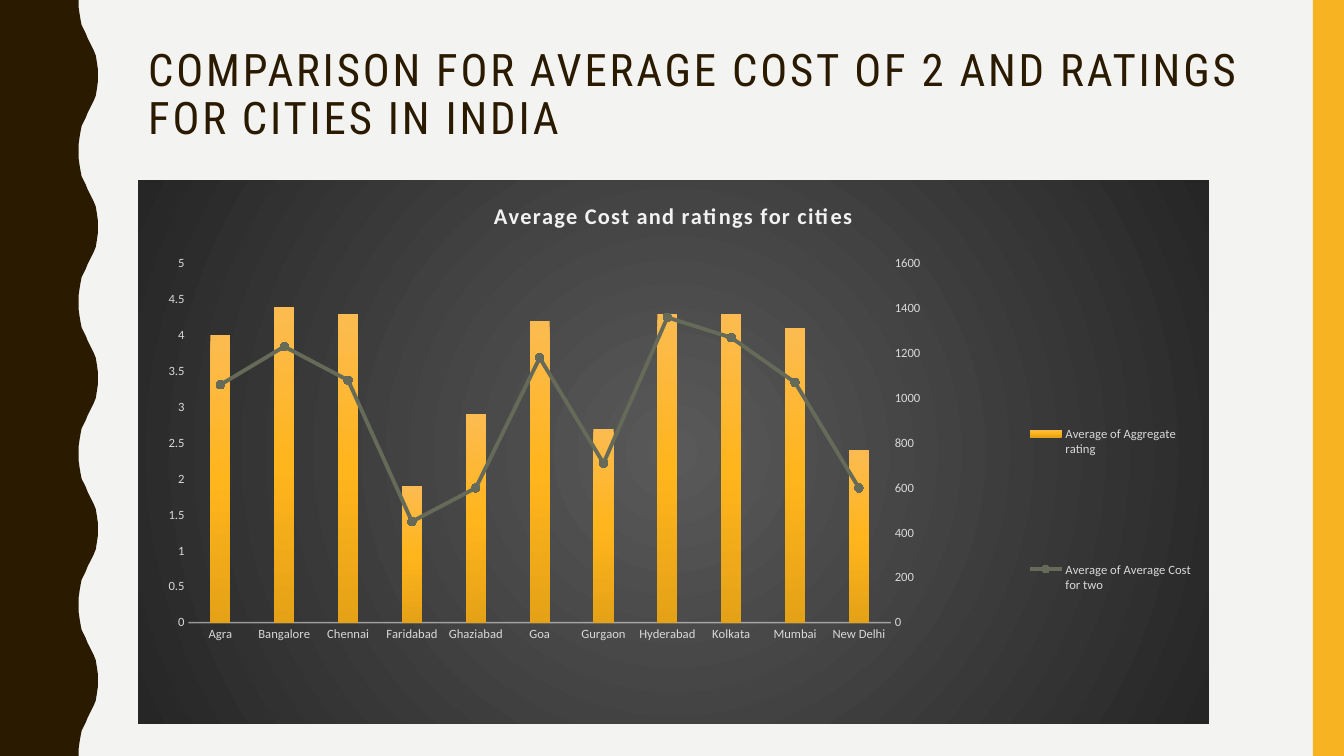
from copy import deepcopy
from dataclasses import dataclass

from lxml import etree
from pptx import Presentation
from pptx.chart.axis import CategoryAxis, ValueAxis
from pptx.chart.chart import Chart
from pptx.chart.data import CategoryChartData
from pptx.dml.color import RGBColor
from pptx.enum.chart import XL_CHART_TYPE, XL_LEGEND_POSITION, XL_MARKER_STYLE, XL_TICK_MARK
from pptx.enum.shapes import MSO_SHAPE
from pptx.enum.text import MSO_ANCHOR, MSO_AUTO_SIZE, PP_ALIGN
from pptx.oxml import parse_xml
from pptx.oxml.ns import nsdecls, qn
from pptx.slide import Slide
from pptx.util import Inches, Pt

COLUMNS = XL_CHART_TYPE.COLUMN_CLUSTERED
LEGEND_RIGHT = XL_LEGEND_POSITION.RIGHT
CIRCLE = XL_MARKER_STYLE.CIRCLE
NO_TICKS = XL_TICK_MARK.NONE
RECTANGLE = MSO_SHAPE.RECTANGLE
TOP = MSO_ANCHOR.TOP
NO_AUTOFIT = MSO_AUTO_SIZE.NONE
LEFT = PP_ALIGN.LEFT


@dataclass(frozen=True)
class Theme:
    background: str = "F3F3F2"
    dark: str = "2A1A00"
    accent: str = "F8B323"
    label: str = "D9D9D9"
    chart_title: str = "F2F2F2"
    line: str = "656A59"
    marker: str = "656B58"
    panel: tuple = ((0, "595959"), (100, "262626"))
    bar: tuple = ((0, "FCBB51"), (50, "FFB51C"), (100, "E5A217"))
    heading_font: str = "Roboto Condensed"
    chart_font: str = "Calibri"
    heading_size: int = 32
    chart_title_size: int = 16
    chart_size: int = 10
    label_size: int = 9


@dataclass(frozen=True)
class Measure:
    name: str
    values: tuple
    maximum: float
    step: float


@dataclass(frozen=True)
class Region:
    """A part of the chart, in fractions of its size."""
    x: float
    y: float
    w: float
    h: float


THEME = Theme()
SLIDE_WIDTH, SLIDE_HEIGHT = 13.33, 7.5
HEADING = "COMPARISON FOR AVERAGE COST OF 2 AND RATINGS FOR CITIES IN INDIA"
CHART_TITLE = "Average Cost and ratings for cities"
CITIES = ("Agra", "Bangalore", "Chennai", "Faridabad", "Ghaziabad", "Goa",
          "Gurgaon", "Hyderabad", "Kolkata", "Mumbai", "New Delhi")
RATING = Measure("Average of Aggregate rating",
                 (4, 4.4, 4.3, 1.9, 2.9, 4.2, 2.7, 4.3, 4.3, 4.1, 2.4), 5, 0.5)
COST = Measure("Average of Average Cost for two",
               (1060, 1230, 1080, 450, 600, 1180, 710, 1360, 1270, 1070, 600), 1600, 200)
PLOT_REGION = Region(0.047, 0.153, 0.656, 0.661)
LEGEND_REGION = Region(0.825, 0.258, 0.166, 0.696)
RIGHT_AXIS_IDS = ("50010", "50020")

WAVE_PERIOD = 1.5
HALF_WAVE = ((0.78, 0), (0.78, 0.07), (0.79, 0.14), (0.8, 0.2), (0.81, 0.25),
             (0.83, 0.29), (0.85, 0.33), (0.87, 0.38), (0.89, 0.42), (0.91, 0.46),
             (0.93, 0.5), (0.95, 0.55), (0.96, 0.61), (0.97, 0.68), (0.97, 0.75))


def color(value: str) -> RGBColor:
    return RGBColor.from_string(value)


def style_font(font, size: int, value: str, name: str = THEME.chart_font, bold: bool = False) -> None:
    font.size, font.name, font.bold = Pt(size), name, bold
    font.color.rgb = color(value)


def paint(shape, value: str) -> None:
    shape.shadow.inherit = False
    shape.fill.solid()
    shape.fill.fore_color.rgb = color(value)
    shape.line.fill.background()


def gradient(stops: tuple, direction: str) -> etree._Element:
    marks = "".join(f'<a:gs pos="{place * 1000}"><a:srgbClr val="{value}"/></a:gs>'
                    for place, value in stops)
    return parse_xml(f'<a:gradFill {nsdecls("a")} rotWithShape="1">'
                     f'<a:gsLst>{marks}</a:gsLst>{direction}</a:gradFill>')


def manual_layout(region: Region, target: str = "") -> etree._Element:
    modes = "".join(f'<c:{side}Mode val="edge"/>' for side in "xy")
    sizes = "".join(f'<c:{side} val="{getattr(region, side)}"/>' for side in "xywh")
    return parse_xml(f'<c:layout {nsdecls("c")}><c:manualLayout>{target}{modes}{sizes}'
                     '</c:manualLayout></c:layout>')


def remove_layout(owner: etree._Element) -> None:
    for layout in owner.findall(qn("c:layout")):
        owner.remove(layout)


def draw_edges(slide: Slide) -> None:
    """Draw the wavy band on the left and the plain band on the right."""
    period = HALF_WAVE + tuple((x, WAVE_PERIOD - y) for x, y in HALF_WAVE[-2::-1])
    waves = round(SLIDE_HEIGHT / WAVE_PERIOD)
    outline = [(Inches(x), Inches(y + wave * WAVE_PERIOD))
               for wave in range(waves) for x, y in period]
    builder = slide.shapes.build_freeform(0, 0)
    builder.add_line_segments(outline + [(0, Inches(SLIDE_HEIGHT))], close=True)
    paint(builder.convert_to_shape(), THEME.dark)
    band = slide.shapes.add_shape(RECTANGLE, Inches(13.02), 0, Inches(0.31), Inches(SLIDE_HEIGHT))
    paint(band, THEME.accent)


def write_heading(slide: Slide) -> None:
    title = slide.shapes.title
    title.left, title.top, title.width, title.height = map(Inches, (1.37, 0.42, 11.13, 1.17))
    frame = title.text_frame
    frame.text = HEADING
    frame.word_wrap, frame.auto_size, frame.vertical_anchor = True, NO_AUTOFIT, TOP
    para = frame.paragraphs[0]
    para.alignment, para.line_spacing = LEFT, 0.9
    span = para.runs[0]
    style_font(span.font, THEME.heading_size, THEME.dark, THEME.heading_font)
    span._r.get_or_add_rPr().set("spc", "200")


def style_axes(chart: Chart) -> None:
    for axis in (chart.category_axis, chart.value_axis):
        axis.major_tick_mark = axis.minor_tick_mark = NO_TICKS
        axis.has_major_gridlines = False
        style_font(axis.tick_labels.font, THEME.label_size, THEME.label)
    chart.value_axis.format.line.fill.background()
    set_scale(chart.value_axis, RATING)
    base = chart.category_axis.format.line
    base.width = Pt(1)
    base.color.rgb = color(THEME.chart_title)
    shade = chart.category_axis._element.find(f'{qn("c:spPr")}//{qn("a:srgbClr")}')
    etree.SubElement(shade, qn("a:alpha")).set("val", "54000")


def set_scale(axis: ValueAxis, measure: Measure) -> None:
    axis.minimum_scale, axis.maximum_scale = 0, measure.maximum
    axis.major_unit = measure.step


def move_cost_to_line(chart: Chart) -> None:
    """Turn the second series into a line measured on a right-hand axis."""
    area = chart.element.find(f'.//{qn("c:plotArea")}')
    bars = area.find(qn("c:barChart"))
    cost = bars.findall(qn("c:ser"))[1]
    for flag in cost.findall(qn("c:invertIfNegative")):
        cost.remove(flag)
    ids = "".join(f'<c:axId val="{number}"/>' for number in RIGHT_AXIS_IDS)
    lines = parse_xml(f'<c:lineChart {nsdecls("c")}><c:grouping val="standard"/>'
                      f'<c:varyColors val="0"/><c:marker val="1"/>{ids}</c:lineChart>')
    lines.insert(2, cost)
    bars.addnext(lines)

    left_axes = [area.find(qn("c:catAx")), area.find(qn("c:valAx"))]
    category_xml, value_xml = right_axes = [deepcopy(axis) for axis in left_axes]
    for axis, own, crossing in zip(right_axes, RIGHT_AXIS_IDS, reversed(RIGHT_AXIS_IDS)):
        axis.find(qn("c:axId")).set("val", own)
        axis.find(qn("c:crossAx")).set("val", crossing)
    left_axes[1].addnext(value_xml)
    value_xml.addnext(category_xml)
    CategoryAxis(category_xml).visible = False
    value_xml.find(qn("c:axPos")).set("val", "r")
    value_xml.find(qn("c:crosses")).set("val", "max")
    set_scale(ValueAxis(value_xml), COST)


def style_series(chart: Chart) -> None:
    bars, lines = chart.plots
    bars.gap_width, bars.overlap, bars.vary_by_categories = 219, -27, False
    bars.series[0].invert_if_negative = False
    rating = chart.element.find(f'.//{qn("c:barChart")}/{qn("c:ser")}')
    rating.get_or_add_spPr().append(gradient(THEME.bar, '<a:lin ang="5400000" scaled="0"/>'))
    cost = lines.series[0]
    cost.smooth = False
    cost.format.line.width = Pt(2.75)
    cost.format.line.color.rgb = color(THEME.line)
    cost.marker.style, cost.marker.size = CIRCLE, 6
    cost.marker.format.fill.solid()
    cost.marker.format.fill.fore_color.rgb = color(THEME.marker)
    cost.marker.format.line.color.rgb = color(THEME.marker)


def style_frame(chart: Chart) -> None:
    """Set the chart's panel, title, legend and inner layout."""
    style_font(chart.font, THEME.chart_size, "000000")
    panel = parse_xml(f'<c:spPr {nsdecls("c", "a")}><a:ln><a:noFill/></a:ln></c:spPr>')
    panel.insert(0, gradient(THEME.panel, '<a:path path="circle"><a:fillToRect l="50000" '
                                          't="50000" r="50000" b="50000"/></a:path>'))
    chart.element.find(qn("c:chart")).addnext(panel)
    chart.has_title = True
    chart.chart_title.text_frame.text = CHART_TITLE
    span = chart.chart_title.text_frame.paragraphs[0].runs[0]
    style_font(span.font, THEME.chart_title_size, THEME.chart_title, bold=True)
    span._r.get_or_add_rPr().set("spc", "100")
    chart.has_legend = True
    chart.legend.position, chart.legend.include_in_layout = LEGEND_RIGHT, False
    style_font(chart.legend.font, THEME.label_size, THEME.label)
    legend = chart.element.find(f'.//{qn("c:legend")}')
    remove_layout(legend)
    legend.find(qn("c:legendPos")).addnext(manual_layout(LEGEND_REGION))
    area = chart.element.find(f'.//{qn("c:plotArea")}')
    remove_layout(area)
    area.insert(0, manual_layout(PLOT_REGION, '<c:layoutTarget val="inner"/>'))


def draw_chart(slide: Slide) -> None:
    chart_data = CategoryChartData()
    chart_data.categories = CITIES
    for measure in (RATING, COST):
        chart_data.add_series(measure.name, measure.values)
    place = map(Inches, (1.37, 1.79, 10.62, 5.39))
    chart = slide.shapes.add_chart(COLUMNS, *place, chart_data).chart
    style_axes(chart)
    move_cost_to_line(chart)
    style_series(chart)
    style_frame(chart)


def main() -> None:
    deck = Presentation()
    deck.slide_width, deck.slide_height = Inches(SLIDE_WIDTH), Inches(SLIDE_HEIGHT)
    page = deck.slides.add_slide(deck.slide_layouts.get_by_name("Title Only"))
    page.background.fill.solid()
    page.background.fill.fore_color.rgb = color(THEME.background)
    draw_edges(page)
    write_heading(page)
    draw_chart(page)
    deck.save("out.pptx")


if __name__ == "__main__":
    main()
